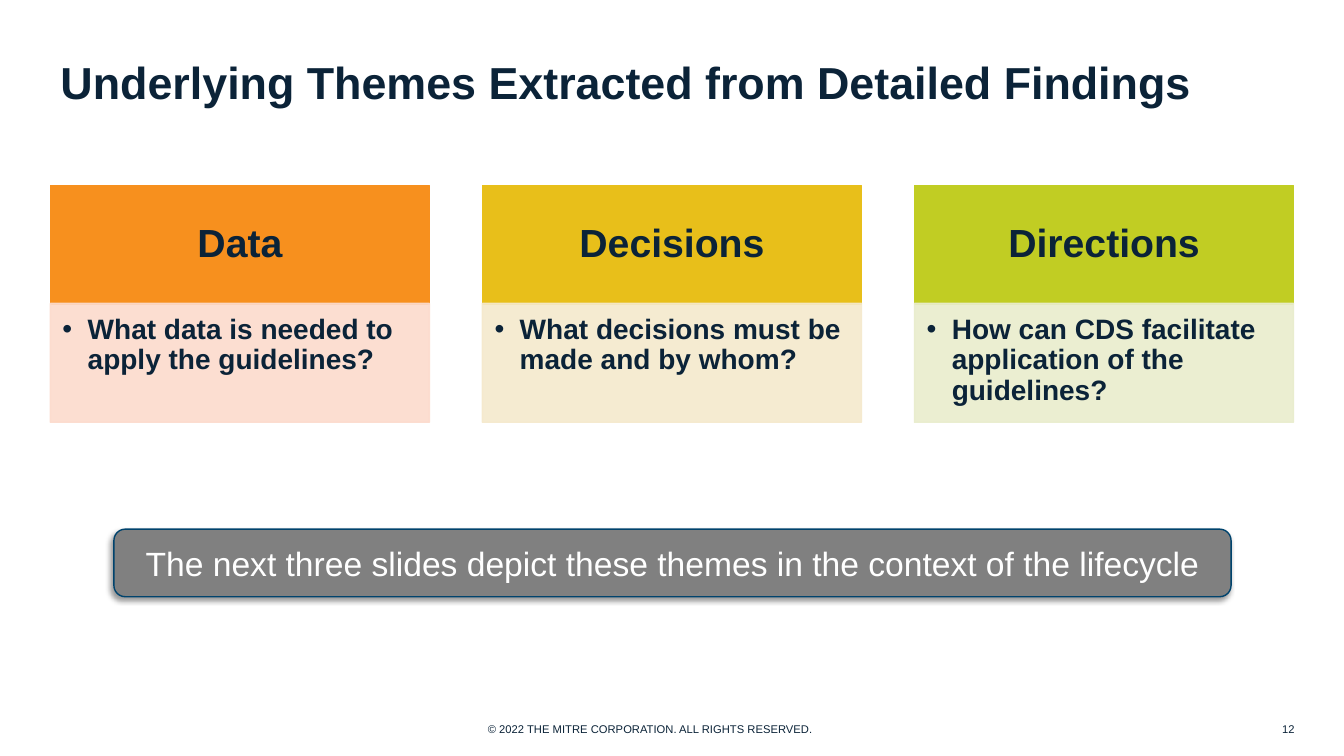
from lxml.etree import SubElement
from pptx import Presentation
from pptx.dml.color import RGBColor
from pptx.enum.shapes import MSO_SHAPE
from pptx.enum.text import MSO_ANCHOR, MSO_AUTO_SIZE, PP_ALIGN
from pptx.oxml import parse_xml
from pptx.oxml.ns import nsdecls, qn
from pptx.util import Inches, Pt

COLORS = {
    "navy": "0B2338", "white": "FFFFFF", "gray": "808080", "blue": "00436D",
    "orange": "F7901E", "peach": "FCDBCD", "gold": "E8BF1A",
    "cream": "F5E9CC", "lime": "C1CD23", "mint": "E9EDCD",
}


def write(shape, text, size, color, align, anchor, inset, bold=False):
    frame = shape.text_frame
    frame.text = text
    frame.word_wrap = True
    frame.auto_size = MSO_AUTO_SIZE.NONE
    frame.vertical_anchor = anchor
    left, top, right, bottom = map(Inches, inset)
    frame.margin_left, frame.margin_top = left, top
    frame.margin_right, frame.margin_bottom = right, bottom
    para = frame.paragraphs[0]
    para.alignment = align
    font = para.runs[0].font
    font.name, font.size, font.bold = "Arial", Pt(size), bold
    font.color.rgb = RGBColor.from_string(COLORS[color])
    return para


def block(kind, place, fill, line, alpha=100):
    shape = slide.shapes.add_shape(kind, *map(Inches, place))
    shape.shadow.inherit = False
    shape.fill.solid()
    shape.fill.fore_color.rgb = RGBColor.from_string(COLORS[fill])
    shape.line.color.rgb = RGBColor.from_string(COLORS[line])
    shape.line.width = Pt(1)
    if alpha < 100:
        for tint in shape._element.spPr.iter(qn("a:srgbClr")):
            SubElement(tint, qn("a:alpha"), val=str(alpha * 1000))
    return shape


deck = Presentation()
deck.slide_width, deck.slide_height = Inches(13.33), Inches(7.5)
slide = deck.slides.add_slide(deck.slide_layouts[5])

title = slide.shapes.title
title.left, title.top = Inches(0.5), Inches(0.43)
title.width, title.height = Inches(12.33), Inches(0.76)
write(title, "Underlying Themes Extracted from Detailed Findings", 32, "navy",
      PP_ALIGN.LEFT, MSO_ANCHOR.MIDDLE, (0.1, 0.05, 0.1, 0.05), True)

themes = [
    ("Data", "What data is needed to apply the guidelines?", "orange", "peach"),
    ("Decisions", "What decisions must be made and by whom?", "gold", "cream"),
    ("Directions", "How can CDS facilitate application of the guidelines?",
     "lime", "mint"),
]
left, width, height = 0.5, 3.76, 1.18
step = (12.33 - width) / 2
for index, (name, question, strong, pale) in enumerate(themes):
    x = left + index * step
    head = block(MSO_SHAPE.RECTANGLE, (x, 1.84, width, height), strong, strong)
    para = write(head, name, 28, "navy", PP_ALIGN.CENTER, MSO_ANCHOR.MIDDLE,
                 (0.22, 0.12, 0.22, 0.12), True)
    para.line_spacing = 0.9

    body = block(MSO_SHAPE.RECTANGLE, (x, 3.01, width, height), pale, pale, 90)
    para = write(body, question, 20, "navy", PP_ALIGN.LEFT, MSO_ANCHOR.TOP,
                 (0.12, 0.12, 0.16, 0.17), True)
    props = para._p.get_or_add_pPr()
    props.set("marL", str(Inches(0.25)))
    props.set("indent", str(-Inches(0.25)))
    SubElement(props, qn("a:buFont"), typeface="Arial")
    SubElement(props, qn("a:buChar"), char="•")
    para.line_spacing = 0.9
    para.space_after = Pt(10)

banner = block(MSO_SHAPE.ROUNDED_RECTANGLE, (1.13, 5.25, 11.08, 0.67),
               "gray", "blue")
write(banner,
      "The next three slides depict these themes in the context of the lifecycle",
      24, "white", PP_ALIGN.CENTER, MSO_ANCHOR.MIDDLE, (0.1, 0.1, 0.1, 0.1))
effects = banner._element.spPr.find(qn("a:effectLst"))
effects.append(parse_xml(
    f'<a:outerShdw {nsdecls("a")} blurRad="{Pt(4)}" dist="{Pt(3)}" '
    'dir="8100000" algn="tr" rotWithShape="0"><a:srgbClr val="000000">'
    '<a:alpha val="40000"/></a:srgbClr></a:outerShdw>'))

notice = slide.shapes.add_textbox(*map(Inches, (4.74, 7.12, 3.51, 0.24)))
write(notice, "© 2022 THE MITRE CORPORATION. ALL RIGHTS RESERVED.", 8, "navy",
      PP_ALIGN.LEFT, MSO_ANCHOR.TOP, (0.1, 0.05, 0.1, 0.05))
notice.text_frame.word_wrap = False

number = slide.shapes.add_textbox(*map(Inches, (11.96, 7.09, 0.88, 0.28)))
write(number, "12", 8, "navy", PP_ALIGN.RIGHT, MSO_ANCHOR.MIDDLE,
      (0, 0.05, 0, 0.05))

deck.save("out.pptx")
